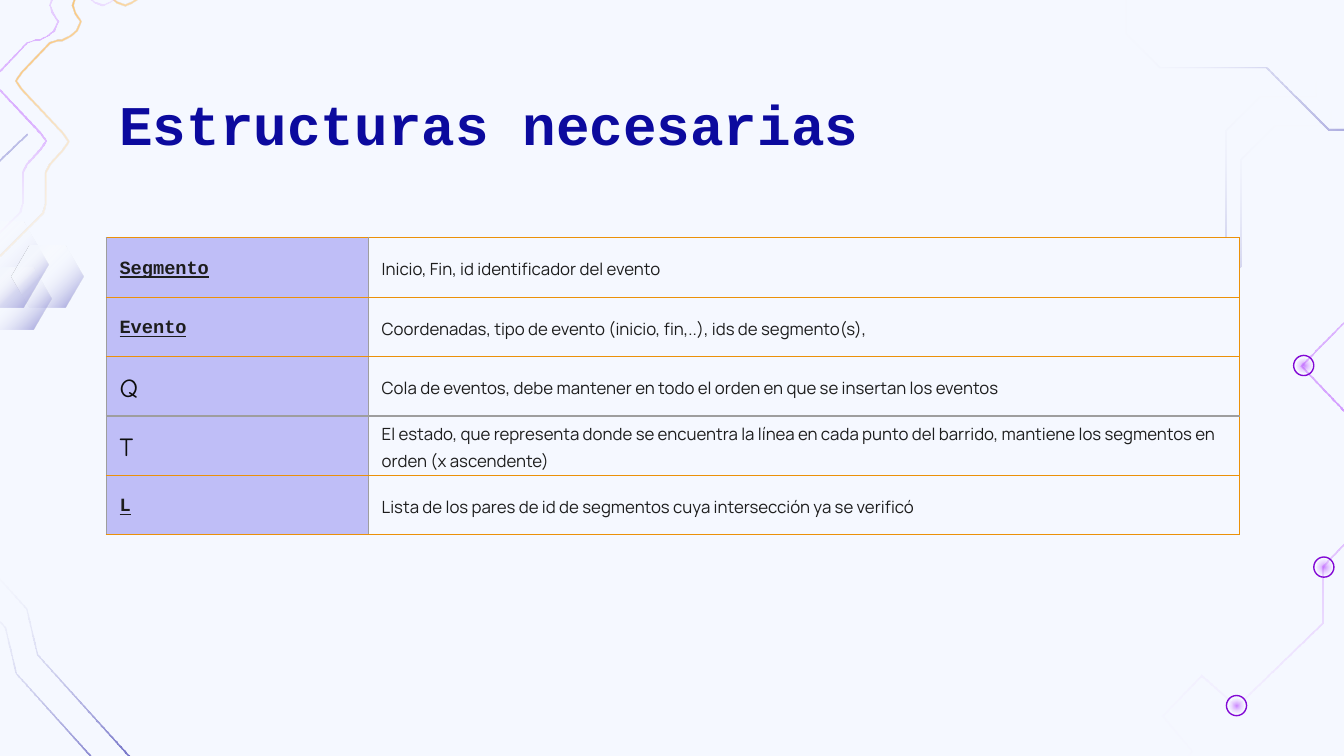
from math import hypot
from lxml.etree import SubElement as Sub
from pptx import Presentation
from pptx.dml.color import RGBColor as RGB
from pptx.enum.shapes import MSO_SHAPE as Shape
from pptx.enum.text import MSO_ANCHOR as Anchor
from pptx.oxml.ns import qn
from pptx.util import Cm, Pt

NAVY, PALE, GOLD, GREY, INK = "0C0A9E", "F5F8FF", "EB9109", "9E9E9E", "1D1D1D"
CLEAR = (100, "FFFFFF", 0)
BLUE = [(0, NAVY, 100), CLEAR]
LILAC = [(0, "9900FF", 47), CLEAR]
AMBER = [(0, GOLD, 100), (40, "FF9900", 41), CLEAR]
STEEL = [(0, NAVY, 37), CLEAR]
GEM = [(0, PALE, 100), (22, PALE, 100), (45, "FFFFFF", 0), (100, NAVY, 50)]

STAIR = [(8.37, 3.9), (8.77, 3.49), (8.77, 2.44), (9.23, 1.98),
         (9.23, 1.19), (9.48, 0.94), (9.9, 0.94), (9.9, 0.81)]
SHELF = [(11.35, 1.36), (10.94, 0.96), (9.88, 0.96), (9.42, 0.5),
         (8.63, 0.5), (8.38, 0.25), (8.38, -0.18), (8.25, -0.18)]
CHAIN = [(12.08, 0.3), (11.46, 0.93), (11.78, 1.28), (10.73, 2.35), (10.7, 2.36),
         (10.35, 2.04), (9.68, 2.72), (10.47, 3.55), (9.84, 4.21), (9.84, 4.63),
         (9.2, 5.25), (8.94, 5.02), (8.65, 5.32), (8.87, 5.58), (8.78, 5.71),
         (8.87, 5.85), (8.82, 5.88)]
SLOPE = [(1.18, 6.25), (1.1, 5.78), (0.28, 4.87), (0.2, 4.53), (-0.16, 4.13)]
WAVE = [(0.58, -0.63), (1.05, -0.15), (1.06, -0.1), (1.05, -0.03), (0.98, 0.02),
        (0.93, 0.04), (0.87, 0.02), (0.76, -0.08), (0.69, -0.12), (0.63, -0.08),
        (0.56, -0.02), (0.54, 0.04), (0.56, 0.1), (0.6, 0.16), (0.57, 0.23),
        (0.52, 0.27), (0.46, 0.3), (0.43, 0.3), (0.37, 0.32), (0.16, 0.54),
        (0.12, 0.6), (0.16, 0.66), (0.47, 0.99), (0.51, 1.05), (0.47, 1.11),
        (0.37, 1.22), (0.34, 1.28), (0.34, 1.51), (0.32, 1.58), (0, 1.9)]
HOOK = [(0.2, 0.99), (-0.1, 1.28), (-0.1, 0.71), (-0.33, 0.71), (-0.33, 0.19)]

TERM, SIGN = ("Courier New", 10, INK, True), ("Comic Neue", 14, "0D0D0D", False)
ROWS = [
    ("Segmento", TERM, "Inicio, Fin, id identificador del evento"),
    ("Evento", TERM, "Coordenadas, tipo de evento (inicio, fin,..), ids de segmento(s),"),
    ("Q", SIGN, "Cola de eventos, debe mantener en todo el orden en que se insertan los eventos"),
    ("T", SIGN, "El estado, que representa donde se encuentra la línea en cada punto del "
                "barrido, mantiene los segmentos en orden (x ascendente)"),
    ("L", TERM, "Lista de los pares de id de segmentos cuya intersección ya se verificó"),
]


def cm(inch):
    """Turn inches into a length."""
    return Cm(inch * 2.54)


def color(code):
    """Turn a hex string into a colour."""
    return RGB.from_string(code)


def fade(shape, stops, angle=None):
    """Fill a shape with a linear gradient, or a round one if no angle is given."""
    shape.shadow.inherit = False
    shape.line.fill.background()
    shape.fill.gradient()
    grad = shape.fill._xPr.find(qn("a:gradFill"))
    for child in list(grad):
        grad.remove(child)
    items = Sub(grad, qn("a:gsLst"))
    for pos, code, alpha in stops:
        stop = Sub(items, qn("a:gs"), pos=str(pos * 1000))
        tone = Sub(stop, qn("a:srgbClr"), val=code)
        Sub(tone, qn("a:alpha"), val=str(alpha * 1000))
    if angle is None:
        way = Sub(grad, qn("a:path"), path="circle")
        Sub(way, qn("a:fillToRect"), l="50000", t="50000", r="50000", b="50000")
    else:
        Sub(grad, qn("a:lin"), ang=str(int(angle * 60000)), scaled="0")


def outline(slide, points, stops, angle=None):
    """Draw a closed outline with a gradient."""
    spots = [(cm(x), cm(y)) for x, y in points]
    pen = slide.shapes.build_freeform(*spots[0])
    pen.add_line_segments(spots[1:])
    fade(pen.convert_to_shape(), stops, angle)


def edge(points, gap):
    """Return the line that runs beside the points at a gap."""
    units = []
    for (x, y), (u, v) in zip(points, points[1:]):
        size = hypot(u - x, v - y)
        units.append(((y - v) / size, (u - x) / size))
    side = []
    for (x, y), (a, b), (c, d) in zip(points, units[:1] + units, units + units[-1:]):
        k = gap / (1 + a * c + b * d)
        side.append((x + k * (a + c), y + k * (b + d)))
    return side


def trace(slide, points, stops, angle=None, dx=0, dy=0):
    """Draw a thin fading circuit track along the points."""
    line = [(x + dx, y + dy) for x, y in points]
    outline(slide, edge(line, 0.007) + edge(line, -0.007)[::-1], stops, angle)


def node(slide, x, y):
    """Draw a ringed, glowing circuit node."""
    ring, glow = [slide.shapes.add_shape(
        Shape.OVAL, cm(x - d / 2), cm(y - d / 2), cm(d), cm(d)) for d in (0.15, 0.11)]
    ring.shadow.inherit = False
    ring.fill.background()
    ring.line.color.rgb = color("8208D5")
    ring.line.width = Pt(0.75)
    fade(glow, LILAC)


def gem(slide, x, y, w, h):
    """Draw a fading hexagon."""
    cut = h * 0.29
    outline(slide, [(x + cut, y), (x + w - cut, y), (x + w, y + h / 2),
                    (x + w - cut, y + h), (x + cut, y + h), (x, y + h / 2)], GEM, 45)


def write(frame, text, face, size, code, bold=False, under=False):
    """Put one styled paragraph in a text frame."""
    para = frame.paragraphs[0]
    para.text = text
    para.line_spacing = 1.15
    font = para.font
    font.name, font.size, font.bold, font.underline = face, Pt(size), bold, under
    font.color.rgb = color(code)


def border(cell, tones):
    """Set the left, right, top and bottom border colours of a cell."""
    props = cell._tc.get_or_add_tcPr()
    for i, (tag, code) in enumerate(zip(("lnL", "lnR", "lnT", "lnB"), tones)):
        line = props.makeelement(qn("a:" + tag), {"w": str(Pt(0.75))})
        Sub(Sub(line, qn("a:solidFill")), qn("a:srgbClr"), val=code)
        props.insert(i, line)


def title(slide, text):
    """Add the slide title."""
    frame = slide.shapes.add_textbox(cm(0.79), cm(0.49), cm(8.43), cm(0.63)).text_frame
    frame.word_wrap = True
    frame.margin_left = frame.margin_right = cm(0.1)
    frame.margin_top = frame.margin_bottom = cm(0.1)
    write(frame, text, "Courier New", 30, NAVY, True)


def table(slide):
    """Add the table of structures."""
    grid = slide.shapes.add_table(
        len(ROWS), 2, cm(0.79), cm(1.77), cm(8.43), cm(2.21)).table
    grid.first_row = grid.horz_banding = False
    grid.columns[0].width, grid.columns[1].width = cm(1.95), cm(6.48)
    for r, (term, (face, size, code, strong), note) in enumerate(ROWS):
        head, body = grid.cell(r, 0), grid.cell(r, 1)
        top, base = GREY if r == 3 else GOLD, GREY if r == 2 else GOLD
        for cell, back, right in ((head, "BFBEF7", GREY), (body, PALE, GOLD)):
            cell.fill.solid()
            cell.fill.fore_color.rgb = color(back)
            cell.vertical_anchor = Anchor.MIDDLE
            cell.margin_left = cell.margin_right = cm(0.1)
            cell.margin_top = cell.margin_bottom = 0
            border(cell, (GREY, right, top, base))
        write(head.text_frame, term, face, size, code, strong, strong)
        write(body.text_frame, note, "Manrope", 9, INK)


def decor(slide):
    """Draw the circuit tracks, nodes and hexagons."""
    trace(slide, STAIR, BLUE, 270)
    trace(slide, STAIR, BLUE, 270, -0.11, -0.22)
    trace(slide, SHELF, BLUE, 180)
    trace(slide, CHAIN, LILAC)
    for x, y in ((9.2, 5.25), (9.85, 4.22), (9.7, 2.72)):
        node(slide, x, y)
    trace(slide, SLOPE, BLUE, 227.8)
    trace(slide, SLOPE, BLUE, 227.8, -0.16, 0.14)
    gem(slide, -0.38, 1.65, 0.74, 0.64)
    gem(slide, -0.15, 1.99, 0.53, 0.46)
    gem(slide, 0.09, 1.83, 0.53, 0.46)
    trace(slide, WAVE, AMBER, 45)
    trace(slide, WAVE, LILAC, dx=-0.17)
    trace(slide, HOOK, STEEL, 225)


def main():
    """Build and save the slide."""
    deck = Presentation()
    deck.slide_width, deck.slide_height = cm(10), cm(5.625)
    slide = deck.slides.add_slide(deck.slide_layouts[6])
    slide.background.fill.solid()
    slide.background.fill.fore_color.rgb = color(PALE)
    decor(slide)
    title(slide, "Estructuras necesarias")
    table(slide)
    deck.save("out.pptx")


if __name__ == "__main__":
    main()
